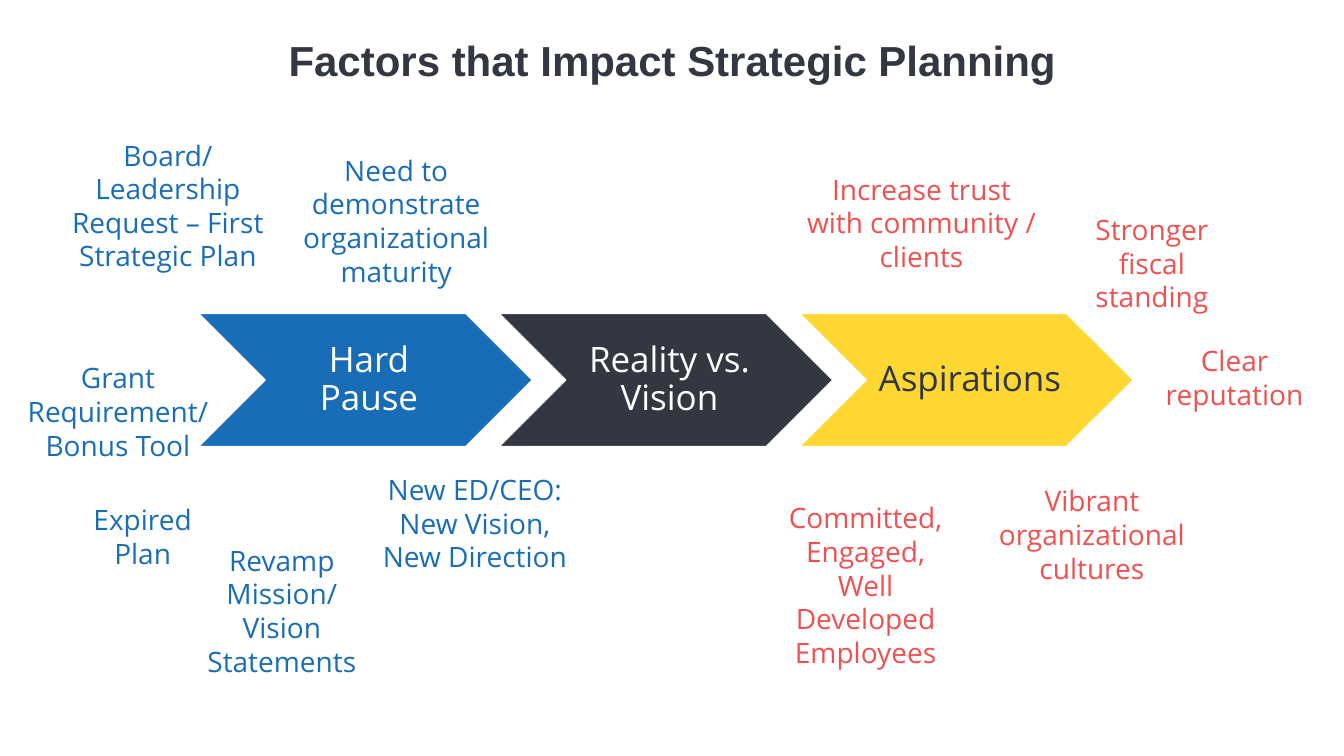
from pptx import Presentation
from pptx.dml.color import RGBColor
from pptx.enum.shapes import MSO_SHAPE as Shape
from pptx.enum.text import MSO_ANCHOR as Anchor, MSO_AUTO_SIZE as AutoSize, PP_ALIGN as Align
from pptx.util import Pt

EMU_PER_PX = 9144
BLUE, DARK, YELLOW, RED, WHITE = "196DB6", "323741", "FFD732", "F05050", "FFFFFF"

STAGES = [
    ("Hard\vPause", BLUE, WHITE),
    ("Reality vs. Vision", DARK, WHITE),
    ("Aspirations", YELLOW, DARK),
]
PAUSE_FACTORS = [
    ("Board/ Leadership Request – First Strategic Plan", 59, 132, 215, 4),
    ("Grant Requirement/ Bonus Tool", 10, 353, 214, 3),
    ("Expired Plan", 57, 494, 169, 2),
    ("Need to demonstrate organizational maturity", 263, 147, 260, 4),
    ("New ED/CEO: New Vision, New Direction", 364, 464, 214, 3),
    ("Revamp Mission/ Vision Statements", 195, 534, 169, 4),
]
ASPIRATION_FACTORS = [
    ("Increase trust\vwith community / clients", 784, 166, 260, 3),
    ("Stronger fiscal standing", 1044, 206, 197, 3),
    ("Vibrant organizational cultures", 976, 475, 214, 3),
    ("Committed, Engaged, Well Developed Employees", 760, 492, 197, 5),
    ("Clear reputation", 1126, 336, 197, 2),
]


def px(length):
    """Turn whole pixels into EMU."""
    return length * EMU_PER_PX


def color(hex_string):
    """Turn a hex string into a colour."""
    return RGBColor.from_string(hex_string)


def apply(target, values):
    """Set each attribute named in values on the target."""
    for name, value in values.items():
        setattr(target, name, value)


def write(frame, text, hex_string, font, spacing=1.0, **frame_values):
    """Put one centred paragraph into a text frame."""
    apply(frame, {"word_wrap": True, **frame_values})
    frame.text = text
    paragraph = frame.paragraphs[0]
    apply(paragraph, {"alignment": Align.CENTER, "line_spacing": spacing})
    apply(paragraph.font, font)
    paragraph.font.color.rgb = color(hex_string)


def add_title(slide, text):
    """Place and format the slide title."""
    title = slide.shapes.title
    apply(title, {"left": px(92), "top": px(22), "width": px(1150), "height": px(81)})
    write(title.text_frame, text, DARK, {"name": "Arial", "size": Pt(30), "bold": True},
          spacing=0.9, vertical_anchor=Anchor.MIDDLE)


def add_stage(slide, left, text, fill, ink):
    """Add one labelled chevron of the process."""
    stage = slide.shapes.add_shape(Shape.CHEVRON, px(left), px(311), px(331), px(132))
    stage.shadow.inherit = False
    stage.fill.solid()
    stage.fill.fore_color.rgb = color(fill)
    stage.line.color.rgb = color(WHITE)
    stage.line.width = Pt(1)
    write(stage.text_frame, text, ink, {"name": "Open Sans", "size": Pt(25)},
          spacing=0.9, vertical_anchor=Anchor.MIDDLE, margin_left=px(9),
          margin_right=px(2), margin_top=px(4), margin_bottom=px(4))


def add_factor(slide, text, left, top, width, lines, ink):
    """Add one factor, as tall as its number of lines."""
    factor = slide.shapes.add_textbox(px(left), px(top), px(width), px(9 + 34 * lines))
    write(factor.text_frame, text, ink, {"name": "Open Sans", "size": Pt(20)},
          auto_size=AutoSize.SHAPE_TO_FIT_TEXT)


def main():
    """Build the slide and save it."""
    deck = Presentation()
    apply(deck, {"slide_width": px(1333), "slide_height": px(750)})
    slide = deck.slides.add_slide(deck.slide_layouts[5])
    add_title(slide, "Factors that Impact Strategic Planning")
    for index, stage in enumerate(STAGES):
        add_stage(slide, 197 + 298 * index, *stage)
    for factors, ink in ((PAUSE_FACTORS, BLUE), (ASPIRATION_FACTORS, RED)):
        for factor in factors:
            add_factor(slide, *factor, ink)
    deck.save("out.pptx")


if __name__ == "__main__":
    main()
